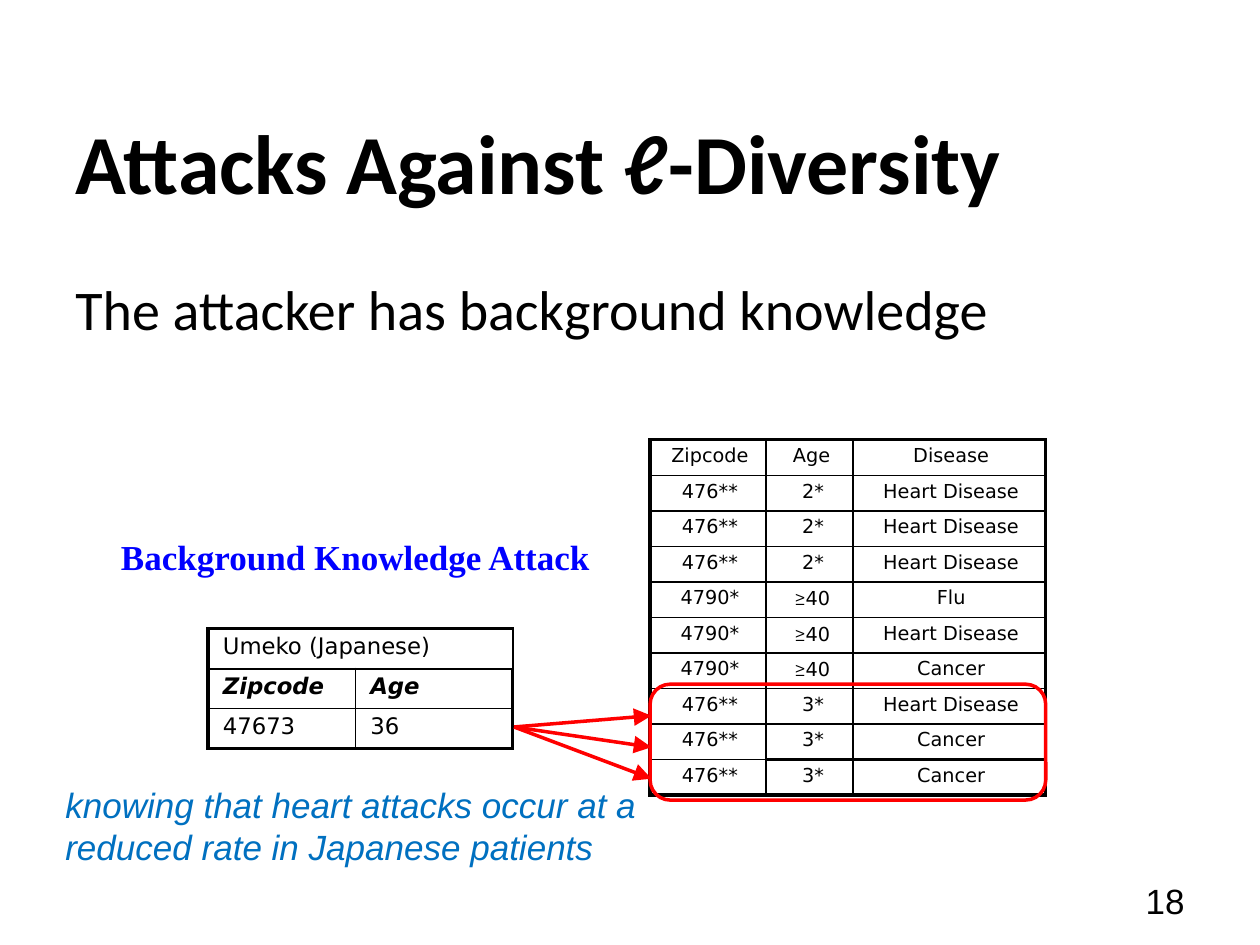
from dataclasses import dataclass, field
from typing import NamedTuple

from pptx import Presentation
from pptx import util as u
from pptx.dml.color import RGBColor
from pptx.enum import shapes, text
from pptx.oxml import parse_xml
from pptx.oxml.ns import nsdecls

PX = 9144
LEFT, CENTER, RIGHT = text.PP_ALIGN.LEFT, text.PP_ALIGN.CENTER, text.PP_ALIGN.RIGHT
TOP, MIDDLE = text.MSO_ANCHOR.TOP, text.MSO_ANCHOR.MIDDLE


@dataclass(frozen=True)
class Theme:
    ink: str = "000000"
    red: str = "FF0000"
    blue: str = "0000FF"
    note: str = "0070C0"
    title_size: int = 48
    body_size: int = 32
    label_size: int = 20
    person_size: int = 13
    data_size: int = 11
    heading: str = "Calibri"
    label: str = "Arial"
    serif: str = "Times New Roman"
    data: str = "DejaVu Sans"
    symbol: str = "Montserrat"
    outline: float = 2.25
    inner: float = 1


THEME = Theme()


class Box(NamedTuple):
    x: int
    y: int
    w: int
    h: int

    def emu(self) -> list[int]:
        return [v * PX for v in self]


class Run(NamedTuple):
    words: str
    size: int
    font: str
    color: str = THEME.ink
    bold: bool = False
    italic: bool = False


class Cell(NamedTuple):
    runs: list[Run]
    align: text.PP_ALIGN
    left: int = 0
    right: int = 0


@dataclass
class Grid:
    box: Box
    cols: list[int]
    rows: list[list[Cell]]
    below: dict[tuple[int, int], float]
    merges: list[tuple[int, int, int, int]] = field(default_factory=list)


def write(p, runs: list[Run], align=LEFT) -> None:
    p.alignment = align
    for run in runs:
        r = p.add_run()
        r.text = run.words
        f = r.font
        f.size, f.name = u.Pt(run.size), run.font
        f.bold, f.italic = run.bold, run.italic
        f.color.rgb = RGBColor.from_string(run.color)


def fill_frame(sp, box: Box, runs: list[Run], align=LEFT, anchor=TOP) -> None:
    sp.left, sp.top, sp.width, sp.height = box.emu()
    tf = sp.text_frame
    tf.word_wrap = True
    tf.auto_size = text.MSO_AUTO_SIZE.NONE
    tf.vertical_anchor = anchor
    write(tf.paragraphs[0], runs, align)


def add_text(s, box: Box, runs: list[Run], align=LEFT, anchor=TOP):
    sp = s.shapes.add_textbox(*box.emu())
    fill_frame(sp, box, runs, align, anchor)
    return sp


def set_borders(cell, widths: dict[str, float]) -> None:
    tcPr = cell._tc.get_or_add_tcPr()
    for side, width in widths.items():
        tcPr.append(parse_xml(
            f'<a:ln{side} {nsdecls("a")} w="{u.Pt(width)}"><a:solidFill>'
            f'<a:srgbClr val="{THEME.ink}"/></a:solidFill></a:ln{side}>'))


def add_grid(s, grid: Grid) -> None:
    last_row, last_col = len(grid.rows) - 1, len(grid.cols) - 1
    table = s.shapes.add_table(last_row + 1, last_col + 1, *grid.box.emu()).table
    table.first_row = table.horz_banding = False
    for column, width in zip(table.columns, grid.cols):
        column.width = width * PX
    for r, row in enumerate(grid.rows):
        table.rows[r].height = grid.box.h * PX // len(grid.rows)
        for c, item in enumerate(row):
            cell = table.cell(r, c)
            cell.margin_left, cell.margin_right = item.left * PX, item.right * PX
            cell.margin_top, cell.margin_bottom = 4 * PX, 0
            write(cell.text_frame.paragraphs[0], item.runs, item.align)

            def under(i: int) -> float:
                edge = THEME.outline if i in (-1, last_row) else THEME.inner
                return grid.below.get((i, c), edge)

            set_borders(cell, {
                "L": THEME.inner if c else THEME.outline,
                "R": THEME.outline if c == last_col else THEME.inner,
                "T": under(r - 1),
                "B": under(r)})
            cell.fill.background()
    for top, left, bottom, right in grid.merges:
        table.cell(top, left).merge(table.cell(bottom, right))


def add_arrow(s, start: tuple[int, int], end: tuple[int, int]) -> None:
    line = s.shapes.add_connector(
        shapes.MSO_CONNECTOR.STRAIGHT, *(v * PX for v in start + end))
    line.line.color.rgb = RGBColor.from_string(THEME.red)
    line.line.width = u.Pt(2)
    line.line._get_or_add_ln().append(parse_xml(
        f'<a:tailEnd {nsdecls("a")} type="triangle" w="lg" len="lg"/>'))
    line._element.spPr.append(parse_xml(f'<a:effectLst {nsdecls("a")}/>'))


def add_outline(s, box: Box, radius: int) -> None:
    sp = s.shapes.add_shape(shapes.MSO_SHAPE.ROUNDED_RECTANGLE, *box.emu())
    sp.adjustments[0] = radius / box.h
    sp.shadow.inherit = False
    sp.fill.background()
    sp.line.color.rgb = RGBColor.from_string(THEME.red)
    sp.line.width = u.Pt(2)


def patient_row(zipcode: str, age: str, disease: str) -> list[Cell]:
    def data(words: str, font: str = THEME.data) -> Run:
        return Run(words, THEME.data_size, font)

    ages = [data("≥", THEME.symbol), data(age[1:])] if age[0] == "≥" else [data(age)]
    return [Cell([data(zipcode)], CENTER, left=3),
            Cell(ages, RIGHT, right=23 if age.endswith("*") else 18),
            Cell([data(disease)], CENTER, left=3)]


def person_row(*words: str, strong: bool = False) -> list[Cell]:
    return [Cell([Run(w, THEME.person_size, THEME.data, bold=strong, italic=strong)],
                 LEFT, left=12) for w in words]


def main() -> None:
    t = THEME
    prs = Presentation()
    prs.slide_width, prs.slide_height = 1000 * PX, 750 * PX
    s = prs.slides.add_slide(prs.slide_layouts[5])

    fill_frame(s.shapes.title, Box(50, 65, 900, 125), [
        Run("Attacks Against ", t.title_size, t.heading, bold=True),
        Run("ℓ", t.title_size, t.heading, bold=True, italic=True),
        Run("-Diversity", t.title_size, t.heading, bold=True)], anchor=MIDDLE)
    add_text(s, Box(717, 695, 233, 40), [Run("18", t.label_size, t.label)], RIGHT, MIDDLE)
    add_text(s, Box(50, 213, 931, 462),
             [Run("The attacker has background knowledge", t.body_size, t.heading)])

    patients = [("Zipcode", "Age", "Disease"),
                *[("476**", "2*", "Heart Disease")] * 3,
                *[("4790*", "≥40", d) for d in ("Flu", "Heart Disease", "Cancer")],
                *[("476**", "3*", d) for d in ("Heart Disease", "Cancer", "Cancer")]]
    add_grid(s, Grid(Box(516, 349, 314, 282), [92, 69, 153],
                     [patient_row(*row) for row in patients],
                     {(r, c): w for r, w in ((7, 1.5), (8, 1.5), (9, 3)) for c in (1, 2)}))
    add_grid(s, Grid(Box(165, 499, 242, 95), [117, 125],
                     [person_row("Umeko (Japanese)", ""),
                      person_row("Zipcode", "Age", strong=True),
                      person_row("47673", "36")],
                     {(0, 0): 1.5, (0, 1): 1.5}, [(0, 0, 0, 1)]))

    for y in (568, 593, 618):
        add_arrow(s, (408, 577), (517, y))
    add_outline(s, Box(516, 543, 314, 92), 16)

    attack = add_text(s, Box(95, 417, 382, 38), [
        Run("Background Knowledge Attack", t.label_size, t.serif, t.blue, bold=True)])
    tf = attack.text_frame
    tf.margin_left = tf.margin_top = PX
    tf.margin_right = tf.margin_bottom = 0
    tf.paragraphs[0].line_spacing = 1.2
    add_text(s, Box(42, 617, 571, 77), [
        Run("knowing that heart attacks occur at a reduced rate in Japanese patients",
            t.label_size, t.label, t.note, italic=True)])
    prs.save("out.pptx")


if __name__ == "__main__":
    main()
